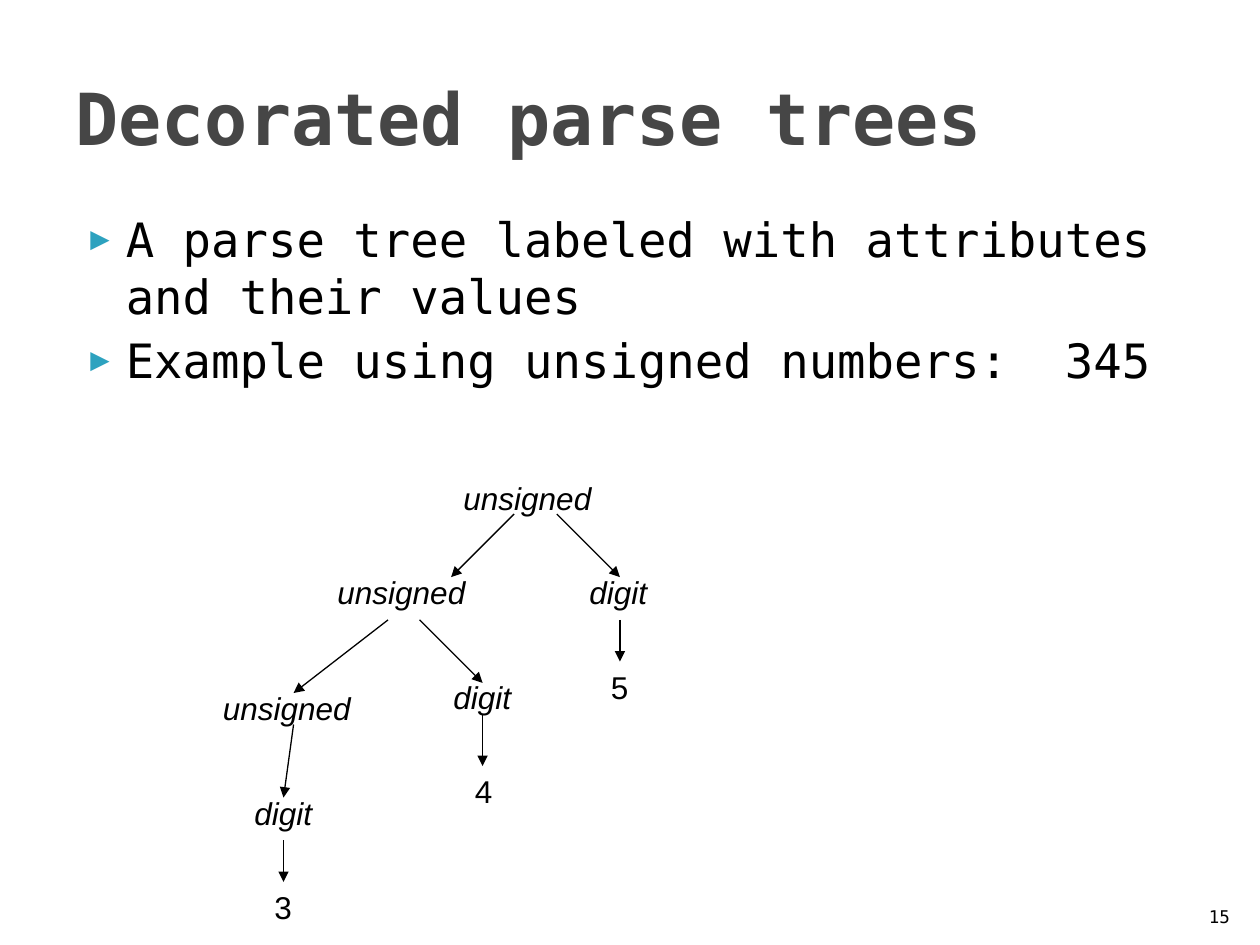
"""Build the slide on decorated parse trees."""
import pptx
import pptx.dml.color
import pptx.enum.shapes
import pptx.enum.text
import pptx.oxml
import pptx.oxml.ns
import pptx.util

Inches = pptx.util.Inches
Pt = pptx.util.Pt
Anchor = pptx.enum.text.MSO_ANCHOR
BLACK = pptx.dml.color.RGBColor(0, 0, 0)
GRAY = pptx.dml.color.RGBColor(0x46, 0x46, 0x46)
MONO = "DejaVu Sans Mono"
NS = pptx.oxml.ns.nsdecls("a")

deck = pptx.Presentation()
deck.slide_width = Inches(10)
deck.slide_height = Inches(7.5)
slide = deck.slides.add_slide(deck.slide_layouts[6])


def add_text(left, top, width, height, lines, size, face=MONO, color=BLACK,
             anchor=Anchor.TOP, wrap=True):
    box = slide.shapes.add_textbox(
        Inches(left), Inches(top), Inches(width), Inches(height))
    frame = box.text_frame
    frame.word_wrap = wrap
    frame.vertical_anchor = anchor
    frame.text = "\n".join(lines)
    for para in frame.paragraphs:
        para.font.name = face
        para.font.size = Pt(size)
        para.font.color.rgb = color
    return frame


def add_arrow(x1, y1, x2, y2):
    line = slide.shapes.add_connector(
        pptx.enum.shapes.MSO_CONNECTOR.STRAIGHT,
        Inches(x1), Inches(y1), Inches(x2), Inches(y2))
    line.line.color.rgb = BLACK
    line.line.width = Pt(0.75)
    props = line._element.spPr
    props.get_or_add_ln().append(
        pptx.oxml.parse_xml(f'<a:tailEnd {NS} type="triangle"/>'))
    props.append(pptx.oxml.parse_xml(f"<a:effectLst {NS}/>"))


title = add_text(0.5, 0.3, 9, 1.25, ["Decorated parse trees"], 41,
                 color=GRAY, anchor=Anchor.MIDDLE)
title.paragraphs[0].font.bold = True

body = add_text(0.5, 1.62, 9, 4.95, [
    "A parse tree labeled with attributes and their values",
    "Example using unsigned numbers:  345"], 27)
for para in body.paragraphs:
    para.space_before = Pt(4)
    props = para._p.get_or_add_pPr()
    props.set("marL", str(Inches(0.4)))
    props.set("indent", str(Inches(-0.28)))
    bullet = (
        f'<a:buClr {NS}><a:srgbClr val="2DA2BF"/></a:buClr>',
        f'<a:buSzPct {NS} val="68000"/>',
        f'<a:buFont {NS} typeface="{MONO}"/>',
        f'<a:buChar {NS} char="\u25b6"/>')
    for place, xml in enumerate(bullet, start=1):
        props.insert(place, pptx.oxml.parse_xml(xml))

page = add_text(9.46, 7.01, 0.4, 0.4, ["15"], 10, anchor=Anchor.BOTTOM)
page.paragraphs[0].alignment = pptx.enum.text.PP_ALIGN.RIGHT

widths = {"unsigned": 1.22, "digit": 0.66}
nodes = [
    ("unsigned", 3.58, 3.75),
    ("unsigned", 2.58, 4.5),
    ("digit", 4.58, 4.5),
    ("unsigned", 1.67, 5.42),
    ("digit", 3.5, 5.33),
    ("5", 4.75, 5.25),
    ("digit", 1.92, 6.25),
    ("4", 3.67, 6.08),
    ("3", 2.08, 7),
]
for label, left, top in nodes:
    node = add_text(left, top, widths.get(label, 0.34), 0.4, [label], 18,
                    face="Arial", wrap=False)
    node.paragraphs[0].font.italic = label in widths

arrows = [
    (4.08, 4.08, 3.58, 4.58),
    (4.42, 4.08, 4.92, 4.58),
    (3.08, 4.92, 2.33, 5.5),
    (3.33, 4.92, 3.83, 5.42),
    (4.92, 4.92, 4.92, 5.25),
    (2.33, 5.75, 2.25, 6.33),
    (3.83, 5.67, 3.83, 6.08),
    (2.25, 6.67, 2.25, 7),
]
for ends in arrows:
    add_arrow(*ends)

deck.save("out.pptx")
